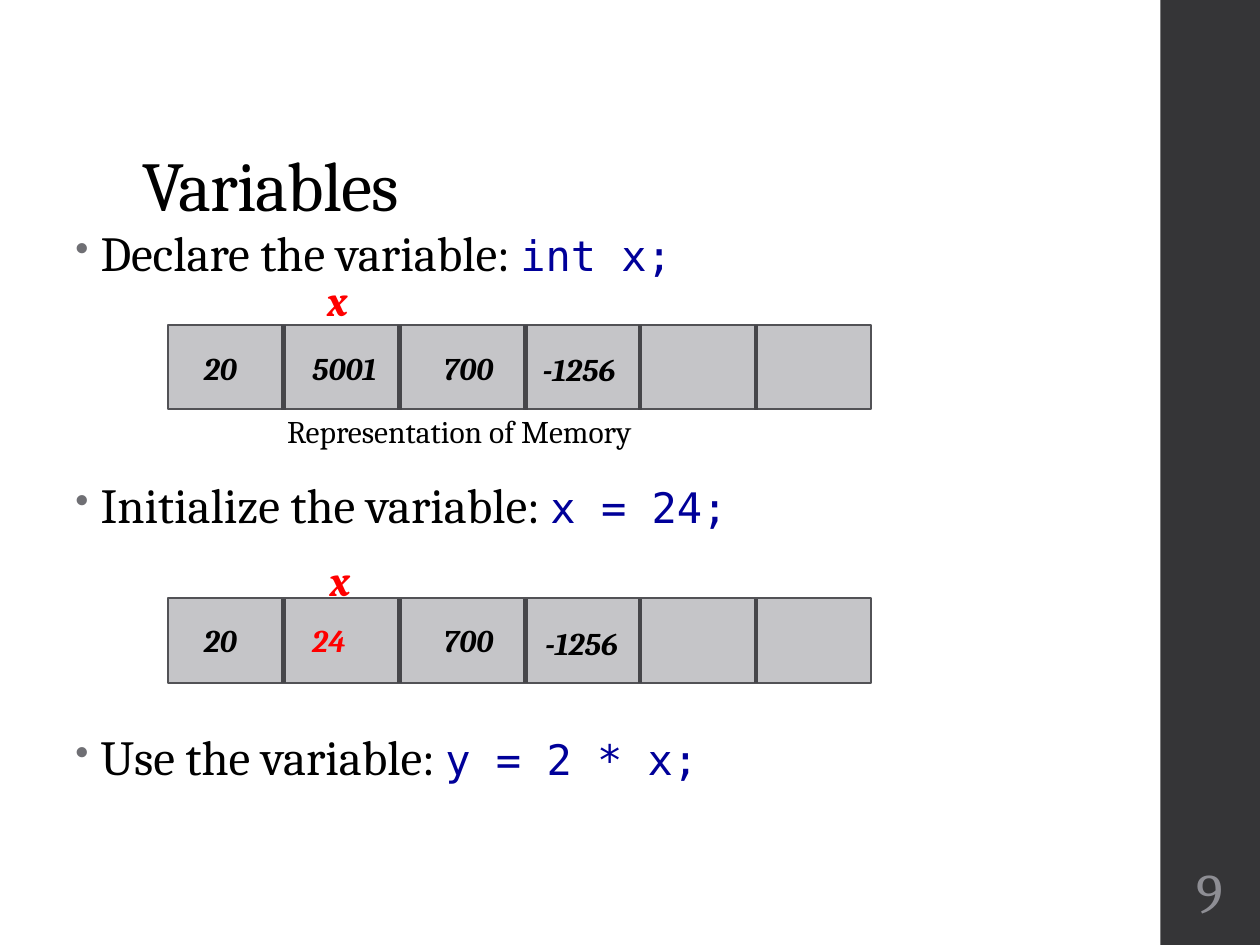
import pptx
import pptx.util
from lxml import etree
from pptx.dml.color import RGBColor
from pptx.enum.shapes import MSO_CONNECTOR, MSO_SHAPE
from pptx.enum.text import MSO_ANCHOR, PP_ALIGN
from pptx.oxml.ns import qn
from pptx.util import Inches, Pt

BLACK = RGBColor(0x00, 0x00, 0x00)
RED = RGBColor(0xFF, 0x00, 0x00)
CODE_BLUE = RGBColor(0x00, 0x00, 0x99)
SIDEBAR = RGBColor(0x35, 0x35, 0x37)
PAGE_GRAY = RGBColor(0x8E, 0x8E, 0x94)
CELL_FILL = RGBColor(0xC5, 0xC5, 0xC8)
CELL_LINE = RGBColor(0x52, 0x52, 0x56)
DIVIDER = RGBColor(0x46, 0x46, 0x4A)
BULLET_GRAY = "6F6F74"
SERIF, MONO = "Cambria", "DejaVu Sans Mono"

STEPS = [
    ("Declare the variable: ", "int x;"),
    ("Initialize the variable: ", "x = 24;"),
    ("Use the variable: ", "y = 2 * x;"),
]

MEMORY_LEFT, MEMORY_WIDTH, MEMORY_HEIGHT = 1.33, 5.58, 0.67
DIVIDERS = [2.25, 3.17, 4.17, 5.08, 6]
# Each value: text, left, offset below the top of the memory bar, width, colour
MEMORY_ROWS = [
    {"top": 2.58, "name": ("x", 2.5, -0.45), "values": [
        ("20", 1.52, 0.14, 0.67, BLACK), ("5001", 2.38, 0.14, 0.87, BLACK),
        ("700", 3.42, 0.14, 0.67, BLACK), ("-1256", 4.21, 0.15, 0.92, BLACK)]},
    {"top": 4.75, "name": ("x", 2.52, -0.4), "values": [
        ("20", 1.52, 0.13, 0.67, BLACK), ("24", 2.38, 0.13, 0.87, RED),
        ("700", 3.42, 0.13, 0.67, BLACK), ("-1256", 4.23, 0.15, 0.92, BLACK)]},
]


def add_box(slide, left, top, width, height, wrap=True):
    box = slide.shapes.add_textbox(Inches(left), Inches(top), Inches(width), Inches(height))
    box.text_frame.word_wrap = wrap
    return box.text_frame


def add_label(slide, text, left, top, width, height, size, color, emphasis=False, wrap=True):
    frame = add_box(slide, left, top, width, height, wrap)
    paragraph = frame.paragraphs[0]
    paragraph.text = text
    font = paragraph.font
    font.name, font.size = SERIF, Pt(size)
    font.bold = font.italic = emphasis
    font.color.rgb = color
    return frame


def add_rectangle(slide, left, top, width, height, fill):
    shape = slide.shapes.add_shape(
        MSO_SHAPE.RECTANGLE, Inches(left), Inches(top), Inches(width), Inches(height))
    shape.shadow.inherit = False
    shape.fill.solid()
    shape.fill.fore_color.rgb = fill
    shape.line.fill.background()
    return shape


def add_bullet(paragraph):
    properties = paragraph._p.get_or_add_pPr()
    properties.set("marL", str(Inches(0.2)))
    properties.set("indent", str(-Inches(0.2)))
    color = etree.SubElement(properties, qn("a:buClr"))
    etree.SubElement(color, qn("a:srgbClr"), val=BULLET_GRAY)
    etree.SubElement(properties, qn("a:buSzPct"), val="80000")
    etree.SubElement(properties, qn("a:buChar"), char="•")


def add_steps(slide):
    frame = add_box(slide, 0.5, 1.75, 8.5, 4.95)
    for index, (label, code) in enumerate(STEPS):
        paragraph = frame.add_paragraph() if index else frame.paragraphs[0]
        add_bullet(paragraph)
        paragraph.line_spacing = 0.95
        paragraph.space_before = Pt(110 if index else 0)
        paragraph.space_after = Pt(2)
        for text, name, size, color in [(label, SERIF, 28, BLACK), (code, MONO, 24, CODE_BLUE)]:
            run = paragraph.add_run()
            run.text = text
            run.font.name, run.font.size = name, Pt(size)
            run.font.color.rgb = color


def add_memory(slide, row):
    top = row["top"]
    bar = add_rectangle(slide, MEMORY_LEFT, top, MEMORY_WIDTH, MEMORY_HEIGHT, CELL_FILL)
    bar.line.color.rgb = CELL_LINE
    bar.line.width = Pt(1.1)
    for x in DIVIDERS:
        line = slide.shapes.add_connector(
            MSO_CONNECTOR.STRAIGHT, Inches(x), Inches(top), Inches(x), Inches(top + MEMORY_HEIGHT))
        line.line.color.rgb = DIVIDER
        line.line.width = Pt(2.5)
        etree.SubElement(line._element.spPr, qn("a:effectLst"))
    for text, left, offset, width, color in row["values"]:
        add_label(slide, text, left, top + offset, width, 0.4, 18, color, emphasis=True)
    name, left, offset = row["name"]
    add_label(slide, name, left, top + offset, 0.67, 0.5, 24, RED, emphasis=True)


def main():
    presentation = pptx.Presentation()
    presentation.slide_width, presentation.slide_height = Inches(10), Inches(7.5)
    slide = presentation.slides.add_slide(presentation.slide_layouts[6])

    add_rectangle(slide, 9.21, 0, 0.8, 7.5, SIDEBAR)

    title = add_label(slide, "Variables", 1.03, 0.4, 7.95, 1.45, 40, BLACK)
    title.vertical_anchor = MSO_ANCHOR.BOTTOM
    title.paragraphs[0].line_spacing = 0.9
    title.paragraphs[0].runs[0].font._element.set("spc", "-50")

    add_steps(slide)

    page = add_label(slide, "9", 9.23, 6.75, 0.75, 0.65, 32, PAGE_GRAY)
    page.vertical_anchor = MSO_ANCHOR.MIDDLE
    page.margin_left = page.margin_right = Inches(0.03)
    page.paragraphs[0].alignment = PP_ALIGN.CENTER

    for row in MEMORY_ROWS:
        add_memory(slide, row)
    add_label(slide, "Representation of Memory", 2.18, 3.22, 3.3, 0.4, 18, BLACK, wrap=False)

    presentation.save("out.pptx")


if __name__ == "__main__":
    main()
